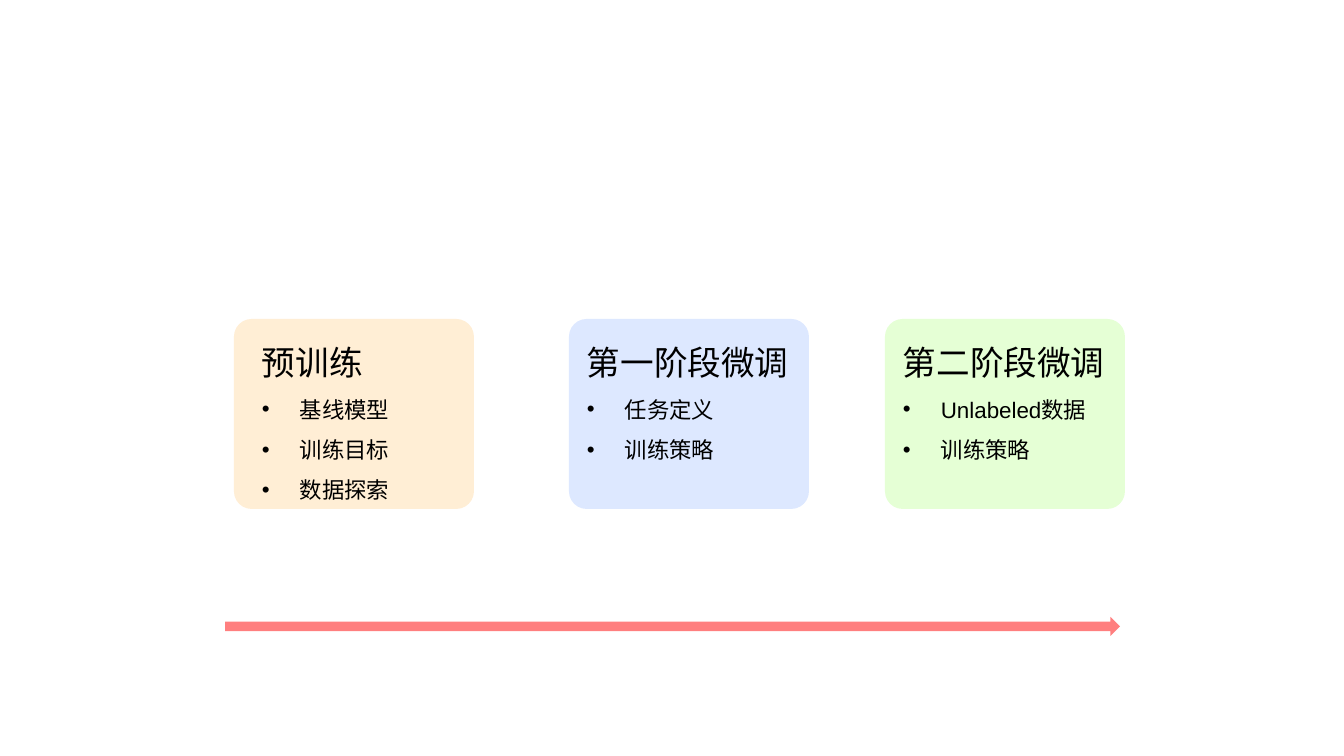
from dataclasses import dataclass

from lxml.etree import SubElement
from pptx import Presentation
from pptx.dml.color import RGBColor
from pptx.enum.shapes import MSO_SHAPE as Shape
from pptx.enum.text import MSO_AUTO_SIZE as AutoSize, PP_ALIGN as Align
from pptx.oxml.ns import qn
from pptx.util import Emu, Pt

EMU_PER_PIXEL = 914400 / 100.8


@dataclass(frozen=True)
class Theme:
    """Colours, font and type sizes of the slide."""
    text: str = "000000"
    pretraining: str = "FFEED5"
    first_stage: str = "DDE8FF"
    second_stage: str = "E5FFD5"
    arrow: str = "FF0000"
    arrow_opacity: int = 50
    font: str = "Arial"
    title_size: int = 24
    bullet_size: int = 16
    line_spacing: float = 1.5


THEME = Theme()
CARD_TOP, CARD_WIDTH, CARD_HEIGHT = 319, 240, 190
CARD_ROUNDING = 0.093
TEXT_TOP = 317
BULLET_INDENT = 38

# Card left, text left, text width, text height, fill, title, bullets
STAGES = [
    (234, 252, 195, 188, THEME.pretraining, "预训练",
     ["基线模型", "训练目标", "数据探索"]),
    (569, 577, 225, 188, THEME.first_stage, "第一阶段微调",
     ["任务定义", "训练策略"]),
    (885, 893, 225, 148, THEME.second_stage, "第二阶段微调",
     ["Unlabeled数据", "训练策略"]),
]


def px(pixels):
    """Turn pixels into EMU."""
    return Emu(round(pixels * EMU_PER_PIXEL))


def set_attributes(target, values):
    """Set each attribute in a dict of format values."""
    for name, value in values.items():
        setattr(target, name, value)


def add_filled_shape(shapes, kind, box, color):
    """Add a preset shape with a plain fill, no line and no shadow."""
    shape = shapes.add_shape(kind, *map(px, box))
    shape.shadow.inherit = False
    shape.fill.solid()
    shape.fill.fore_color.rgb = RGBColor.from_string(color)
    shape.line.fill.background()
    return shape


def add_bullet(paragraph):
    """Give a paragraph a round bullet and a hanging indent."""
    properties = paragraph._p.get_or_add_pPr()
    properties.set("marL", str(px(BULLET_INDENT)))
    properties.set("indent", str(-px(BULLET_INDENT)))
    SubElement(properties, qn("a:buFont"), typeface=THEME.font)
    SubElement(properties, qn("a:buChar"), char="•")


def write_line(paragraph, text, size):
    """Write one line of card text."""
    set_attributes(paragraph, {"alignment": Align.LEFT,
                               "line_spacing": THEME.line_spacing})
    run = paragraph.add_run()
    run.text = text
    set_attributes(run.font, {"name": THEME.font, "size": Pt(size)})
    run.font.color.rgb = RGBColor.from_string(THEME.text)


def add_stage_text(shapes, box, title, bullets):
    """Add a text box with a title line and its bullets."""
    frame = shapes.add_textbox(*map(px, box)).text_frame
    set_attributes(frame, {"word_wrap": True,
                           "auto_size": AutoSize.SHAPE_TO_FIT_TEXT})
    write_line(frame.paragraphs[0], title, THEME.title_size)
    for bullet in bullets:
        paragraph = frame.add_paragraph()
        write_line(paragraph, bullet, THEME.bullet_size)
        add_bullet(paragraph)


def add_stage(slide, card_left, text_left, text_width, text_height,
              color, title, bullets):
    """Add one training stage: a rounded card grouped with its text."""
    shapes = slide.shapes.add_group_shape().shapes
    card = add_filled_shape(shapes, Shape.ROUNDED_RECTANGLE,
                            (card_left, CARD_TOP, CARD_WIDTH, CARD_HEIGHT), color)
    card.adjustments[0] = CARD_ROUNDING
    add_stage_text(shapes, (text_left, TEXT_TOP, text_width, text_height),
                   title, bullets)


def add_progress_arrow(slide, box):
    """Add the translucent arrow below the stages."""
    arrow = add_filled_shape(slide.shapes, Shape.RIGHT_ARROW, box, THEME.arrow)
    color = arrow._element.spPr.find(qn("a:solidFill"))[0]
    SubElement(color, qn("a:alpha"), val=str(THEME.arrow_opacity * 1000))


def main():
    """Build and save the slide."""
    presentation = Presentation()
    set_attributes(presentation, {"slide_width": px(1344),
                                  "slide_height": px(756)})
    slide = presentation.slides.add_slide(presentation.slide_layouts[6])
    for stage in STAGES:
        add_stage(slide, *stage)
    add_progress_arrow(slide, (225, 617, 895, 19))
    presentation.save("out.pptx")


main()
